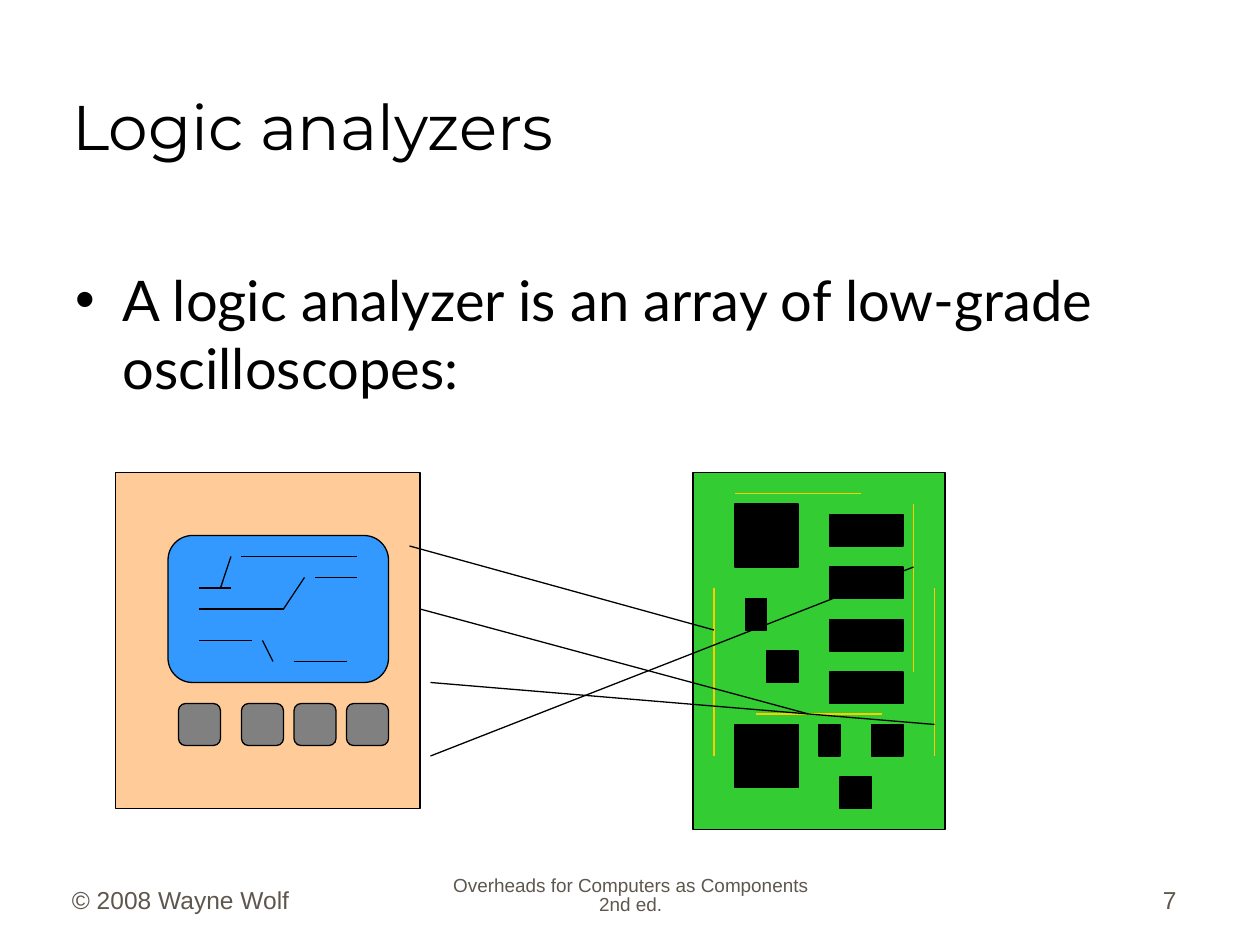
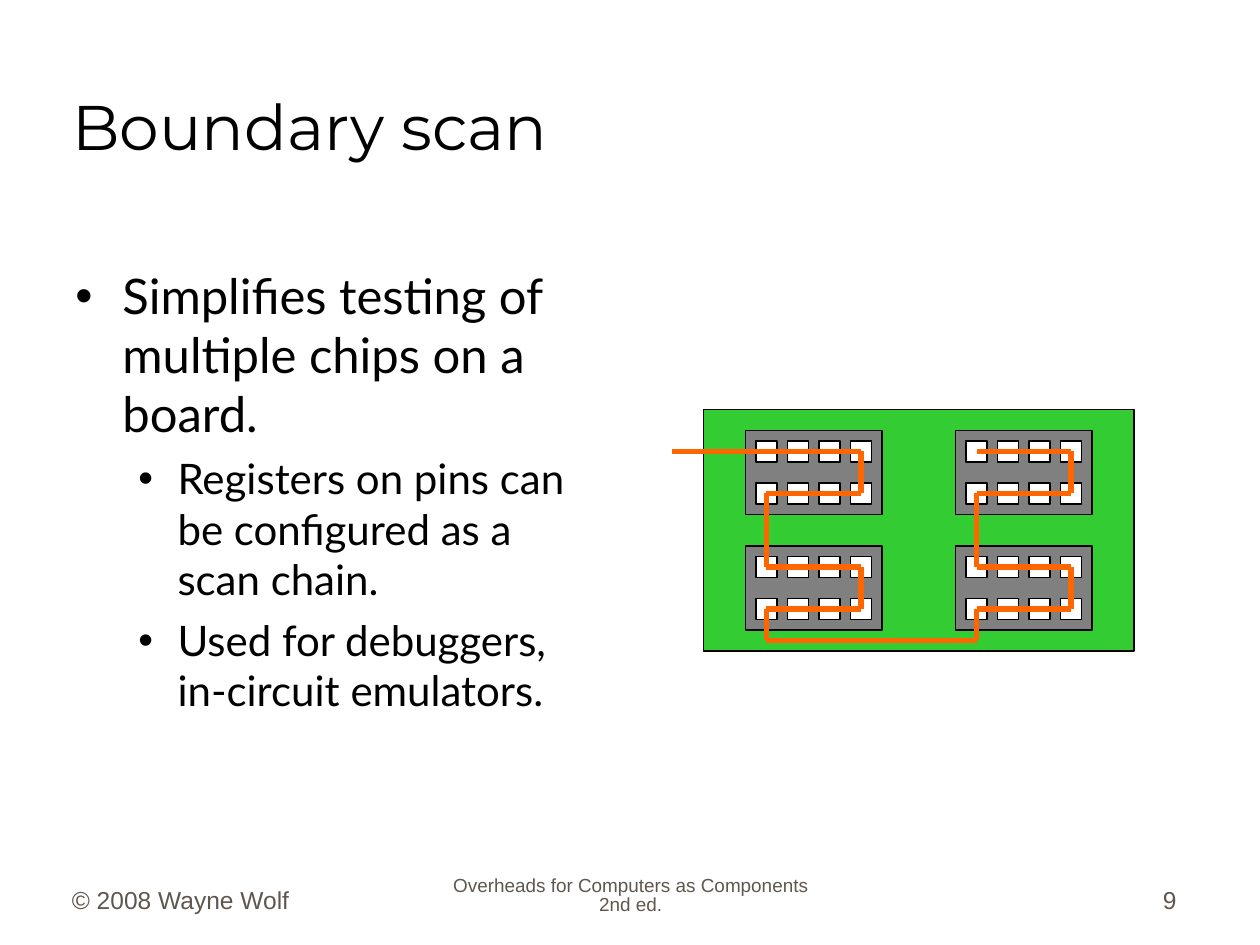
"""Build two slides on logic analyzers and boundary scan."""
from dataclasses import dataclass
from itertools import pairwise, product

from lxml.etree import SubElement
from pptx import Presentation
from pptx.dml.color import RGBColor
from pptx.enum.shapes import MSO_CONNECTOR, MSO_SHAPE
from pptx.enum.text import MSO_ANCHOR, MSO_AUTO_SIZE, PP_ALIGN
from pptx.oxml.ns import qn
from pptx.util import Cm, Pt


@dataclass(frozen=True)
class Theme:
    black: str = "000000"
    white: str = "FFFFFF"
    gray: str = "808080"
    footer: str = "5E574E"
    board: str = "33CC33"
    trace: str = "FFCC00"
    case: str = "FFCC99"
    screen: str = "3399FF"
    scan: str = "FF6600"
    title_font: str = "Montserrat"
    body_font: str = "Lato"
    footer_font: str = "Arial"
    title_size: float = 36
    footer_size: float = 14
    source_size: float = 10.8
    thin: float = 0.75
    thick: float = 3


def grid(units):
    return Cm(units * 2.54 / 12)


class SlideBuilder:
    def __init__(self, deck, theme):
        self.deck = deck
        self.theme = theme
        self.page = None

    def start(self, title, number):
        theme = self.theme
        self.page = self.deck.slides.add_slide(self.deck.slide_layouts[5])
        box = self.page.shapes.title
        box.left, box.top, box.width, box.height = Cm(1.27), Cm(0.64), Cm(22.66), Cm(2.74)
        frame = self.frame(box, MSO_ANCHOR.BOTTOM, Cm(0.19), Cm(0.09))
        para = frame.paragraphs[0]
        para.alignment = PP_ALIGN.LEFT
        self.span(para, title, theme.title_font, theme.title_size, theme.black)
        self.footer("© 2008 Wayne Wolf", 1.2, 5.28, PP_ALIGN.LEFT, theme.footer_size)
        self.footer("Overheads for Computers as Components 2nd ed.", 8.69, 8.05,
                    PP_ALIGN.CENTER, theme.source_size, 0.8)
        self.footer(str(number), 18.69, 5.28, PP_ALIGN.RIGHT, theme.footer_size)

    def frame(self, box, anchor, side=Cm(0.25), edge=Cm(0.13)):
        frame = box.text_frame
        frame.word_wrap = True
        frame.auto_size = MSO_AUTO_SIZE.NONE
        frame.vertical_anchor = anchor
        frame.margin_left = frame.margin_right = side
        frame.margin_top = frame.margin_bottom = edge
        return frame

    def span(self, para, text, font, size, color):
        span = para.add_run()
        span.text = text
        span.font.name = font
        span.font.size = Pt(size)
        span.font.color.rgb = RGBColor.from_string(color)

    def footer(self, text, left, width, alignment, size, spacing=1.0):
        box = self.page.shapes.add_textbox(Cm(left), Cm(17.3), Cm(width), Cm(1.27))
        para = self.frame(box, MSO_ANCHOR.BOTTOM).paragraphs[0]
        para.alignment = alignment
        para.line_spacing = spacing
        self.span(para, text, self.theme.footer_font, size, self.theme.footer)

    def bullets(self, width, height, items):
        box = self.page.shapes.add_textbox(Cm(1.27), Cm(5.23), Cm(width), Cm(height))
        frame = self.frame(box, MSO_ANCHOR.TOP)
        for index, (level, size, text) in enumerate(items):
            para = frame.add_paragraph() if index else frame.paragraphs[0]
            para.level = level
            if index:
                para.space_before = Pt(size / 4)
            self.bullet(para, *((Cm(2.06), Cm(0.79)) if level else (Cm(0.95), Cm(0.95))))
            self.span(para, text, self.theme.body_font, size, self.theme.black)

    def bullet(self, para, margin, hanging):
        properties = para._p.get_or_add_pPr()
        properties.set("marL", str(margin))
        properties.set("indent", str(-hanging))
        color = SubElement(properties, qn("a:buClr"))
        SubElement(color, qn("a:srgbClr"), val=self.theme.black)
        SubElement(properties, qn("a:buFont"), typeface="Arial")
        SubElement(properties, qn("a:buChar"), char="•")

    def block(self, left, top, width, height, fill, kind=MSO_SHAPE.RECTANGLE):
        shape = self.page.shapes.add_shape(
            kind, grid(left), grid(top), grid(width), grid(height))
        shape.shadow.inherit = False
        shape.fill.solid()
        shape.fill.fore_color.rgb = RGBColor.from_string(fill)
        shape.line.color.rgb = RGBColor.from_string(self.theme.black)
        shape.line.width = Pt(self.theme.thin)

    def rounded(self, left, top, width, height, fill):
        self.block(left, top, width, height, fill, MSO_SHAPE.ROUNDED_RECTANGLE)

    def polyline(self, points, color, weight):
        for start, end in pairwise(points):
            line = self.page.shapes.add_connector(
                MSO_CONNECTOR.STRAIGHT, *map(grid, start + end))
            line.line.color.rgb = RGBColor.from_string(color)
            line.line.width = Pt(weight)
            SubElement(line._element.spPr, qn("a:effectLst"))


def draw_circuit_board(builder):
    theme = builder.theme
    builder.block(66, 45, 24, 34, theme.board)
    large_chips = [(70, top, 6, 6) for top in (48, 69)]
    memory_chips = [(79, 49 + 5 * row, 7, 3) for row in range(4)]
    narrow_chips = [(71, 57, 2, 3), (78, 69, 2, 3)]
    small_chips = [(left, top, 3, 3) for left, top in ((73, 62), (83, 69), (80, 74))]
    for chip in large_chips + memory_chips + narrow_chips + small_chips:
        builder.block(*chip, theme.black)
    traces = [
        [(87, 48), (87, 64)], [(68, 56), (68, 72)], [(89, 56), (89, 72)],
        [(84, 68), (72, 68)], [(82, 47), (70, 47)],
    ]
    for trace in traces:
        builder.polyline(trace, theme.trace, theme.thin)


def draw_analyzer(builder):
    theme = builder.theme
    builder.block(11, 45, 29, 32, theme.case)
    probes = [
        [(39, 52), (68, 60)], [(40, 58), (77, 68)],
        [(41, 65), (89, 69)], [(41, 72), (87, 54)],
    ]
    signals = [
        [(19, 56), (22, 56)], [(21, 56), (22, 53)], [(23, 53), (34, 53)],
        [(19, 58), (27, 58), (29, 55)], [(30, 55), (34, 55)],
        [(19, 61), (24, 61)], [(25, 61), (26, 63)], [(28, 63), (33, 63)],
    ]
    for probe in probes:
        builder.polyline(probe, theme.black, theme.thin)
    builder.rounded(16, 51, 21, 14, theme.screen)
    for signal in signals:
        builder.polyline(signal, theme.black, theme.thin)
    for left in (17, 23, 28, 33):
        builder.rounded(left, 67, 4, 4, theme.gray)


def draw_scan_board(builder):
    theme = builder.theme
    builder.block(67, 39, 41, 23, theme.board)
    for left, top in product((71, 91), (41, 52)):
        builder.block(left, top, 13, 8, theme.gray)
        for row, column in product(range(2), range(4)):
            builder.block(left + 1 + 3 * column, top + 1 + 4 * row, 2, 2, theme.white)
    descent = [(82, 43), (82, 47), (73, 47), (73, 54), (82, 54), (82, 58), (73, 58)]
    ascent = [(left + 20, top) for left, top in reversed(descent)]
    chain = [(64, 43), *descent, (73, 61), (93, 61), *ascent, (93, 43)]
    builder.polyline(chain, theme.scan, theme.thick)


def main():
    deck = Presentation()
    deck.slide_width, deck.slide_height = Cm(25.4), Cm(19.05)
    builder = SlideBuilder(deck, Theme())

    builder.start("Logic analyzers", 7)
    builder.bullets(22.71, 4.29, [
        (0, 32, "A logic analyzer is an array of low-grade oscilloscopes:"),
    ])
    draw_circuit_board(builder)
    draw_analyzer(builder)

    builder.start("Boundary scan", 9)
    builder.bullets(11.15, 11.58, [
        (0, 28, "Simplifies testing of multiple chips on a board."),
        (1, 24, "Registers on pins can be configured as a scan chain."),
        (1, 24, "Used for debuggers, in-circuit emulators."),
    ])
    draw_scan_board(builder)

    deck.save("out.pptx")


if __name__ == "__main__":
    main()
